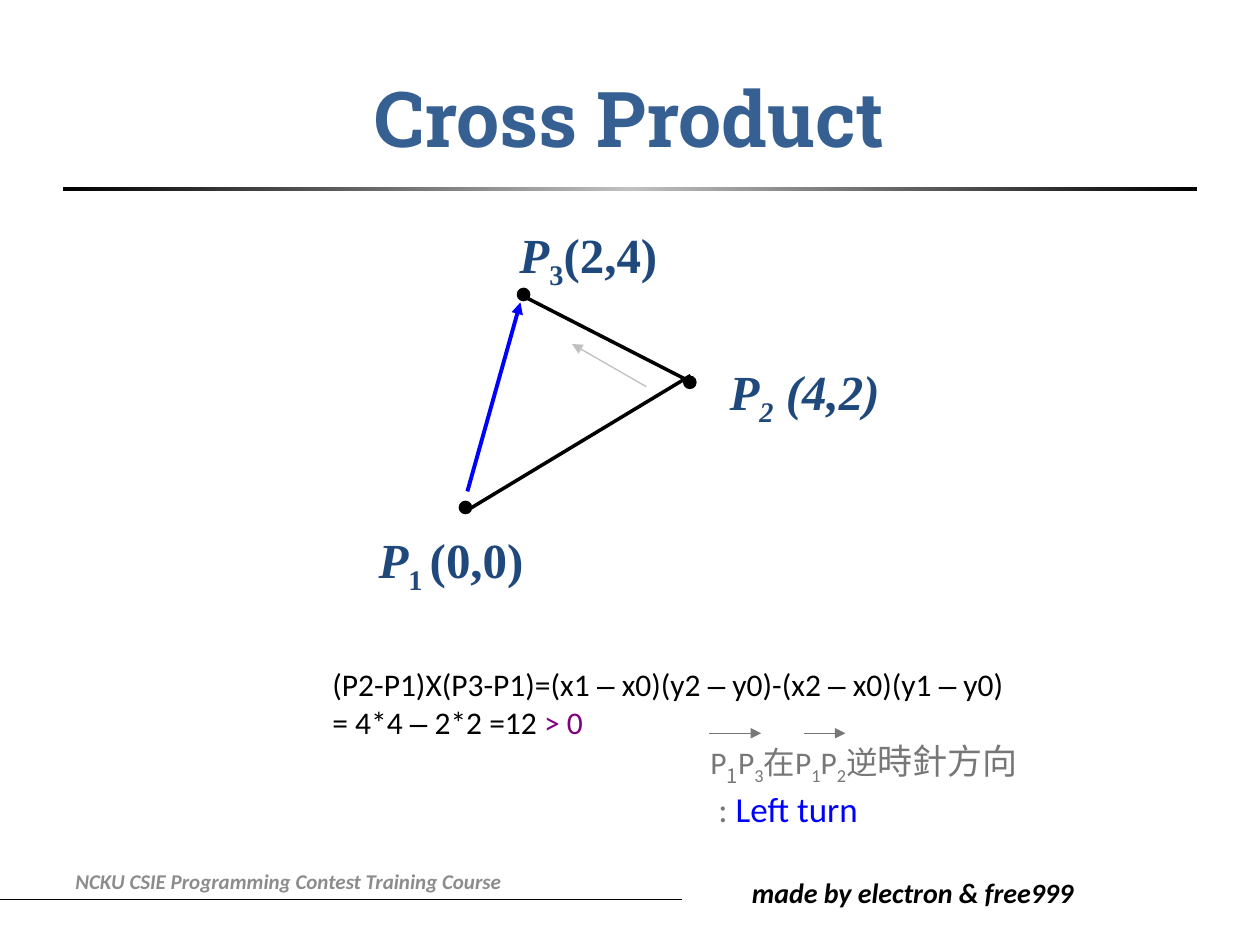
from copy import deepcopy

from pptx import Presentation
from pptx.dml.color import RGBColor
from pptx.enum.shapes import MSO_CONNECTOR, MSO_SHAPE
from pptx.enum.text import MSO_ANCHOR, PP_ALIGN
from pptx.oxml.ns import qn
from pptx.util import Pt
from lxml.etree import SubElement

BLACK = RGBColor(0x00, 0x00, 0x00)
SILVER = RGBColor(0xC0, 0xC0, 0xC0)
GRAY = RGBColor(0x77, 0x77, 0x77)
PALE = RGBColor(0x8C, 0x8C, 0x8C)
STEEL = RGBColor(0x37, 0x60, 0x92)
NAVY = RGBColor(0x1F, 0x49, 0x7D)
BLUE = RGBColor(0x00, 0x00, 0xFF)
PURPLE = RGBColor(0x80, 0x00, 0x80)

BODY = "Calibri"
HEAD = "Roboto Slab"
SERIF = "Times New Roman"
DASH = "Arial"
CJK = "Noto Sans CJK JP"


class Board:
    def __init__(self, slide):
        self.slide = slide

    def shape(self, kind, left, top, width, height):
        item = self.slide.shapes.add_shape(
            kind, Pt(left), Pt(top), Pt(width), Pt(height))
        item.shadow.inherit = False
        return item

    def dot(self, x, y, size=6.8):
        """Draw a black point centred on x, y."""
        item = self.shape(MSO_SHAPE.OVAL, x - size / 2, y - size / 2, size, size)
        item.fill.solid()
        item.fill.fore_color.rgb = BLACK
        item.line.color.rgb = BLACK
        item.line.width = Pt(1)

    def rule(self, left, top, width, height):
        """Draw a bar that fades from black to silver and back."""
        bar = self.shape(MSO_SHAPE.RECTANGLE, left, top, width, height)
        bar.line.fill.background()
        bar.fill.gradient()
        bar.fill.gradient_angle = 0
        first, mid = bar.fill.gradient_stops
        first.color.rgb, first.position = BLACK, 0
        mid.color.rgb, mid.position = SILVER, 0.5
        stops = bar._element.spPr.find(qn("a:gradFill")).find(qn("a:gsLst"))
        last = deepcopy(stops[0])
        last.set("pos", "100000")
        stops.append(last)

    def line(self, start, end, color=BLACK, width=2, arrow=False):
        item = self.slide.shapes.add_connector(
            MSO_CONNECTOR.STRAIGHT, *map(Pt, start + end))
        item.line.color.rgb = color
        item.line.width = Pt(width)
        if arrow:
            SubElement(item.line._get_or_add_ln(), qn("a:tailEnd"), type="triangle")
        SubElement(item._element.spPr, qn("a:effectLst"))

    def text(self, box, lines, size, color, font=BODY, bold=False, italic=None,
             align=PP_ALIGN.LEFT, anchor=MSO_ANCHOR.TOP, wrap=True):
        """Each line is a list of runs: (text, changes to the line's font)."""
        frame = self.slide.shapes.add_textbox(*map(Pt, box)).text_frame
        frame.word_wrap = wrap
        frame.vertical_anchor = anchor
        for i, runs in enumerate(lines):
            para = frame.add_paragraph() if i else frame.paragraphs[0]
            para.alignment = align
            style = para.font
            style.name, style.size, style.bold = font, Pt(size), bold
            style.italic = italic
            style.color.rgb = color
            for words, change in runs:
                self.run(para, words, **change)

    def run(self, para, words, font=None, size=None, color=None, italic=None,
            sub=False, east=False):
        run = para.add_run()
        run.text = words
        run.font.name = font
        run.font.italic = italic
        if size:
            run.font.size = Pt(size)
        if color is not None:
            run.font.color.rgb = color
        props = run._r.get_or_add_rPr()
        if sub:
            props.set("baseline", "-25000")
        if east:
            SubElement(props, qn("a:ea"), typeface=CJK)

    def label(self, box, runs):
        self.text(box, [runs], 28, NAVY, SERIF, bold=True,
                  align=PP_ALIGN.CENTER, wrap=False)


def dashed(words):
    """Split words into runs, with each dash in its own font."""
    runs = []
    for i, part in enumerate(words.split("–")):
        if i:
            runs.append(("–", {"font": DASH}))
        runs.append((part, {}))
    return runs


def main():
    deck = Presentation()
    deck.slide_width, deck.slide_height = Pt(720), Pt(540)
    board = Board(deck.slides.add_slide(deck.slide_layouts[6]))

    board.line((0, 514), (390, 514), width=0.5)
    board.text((422.6, 496.8, 204, 26.6), [[("made by electron & free999", {})]],
               16, BLACK, bold=True, italic=True)
    board.rule(36, 106.8, 648, 2.2)
    board.text((36, 21.6, 648, 90), [[("Cross Product", {})]], 44, STEEL, HEAD,
               bold=True, align=PP_ALIGN.CENTER, anchor=MSO_ANCHOR.MIDDLE)
    board.text((36, 489, 324, 28.8),
               [[("NCKU CSIE Programming Contest Training Course", {})]],
               12, PALE, bold=True, italic=True, anchor=MSO_ANCHOR.MIDDLE)

    for x, y in ((299.2, 168.3), (266, 290), (394.2, 218.5)):
        board.dot(x, y)
    board.line((301.7, 170.6), (391.7, 216.7))
    board.line((269.3, 290.2), (394.6, 214.6))
    board.line((267.1, 280.8), (297.4, 172.8), BLUE, 2.25, arrow=True)
    board.line((369.4, 221), (326.9, 196.6), SILVER, 0.75, arrow=True)

    slant, low = {"italic": True}, {"sub": True}
    board.label((288.7, 124.6, 95, 41),
                [("P", slant), ("3", low), ("(2,4)", {})])
    board.label((208, 298.8, 99.4, 41),
                [("P", slant), ("1 ", low), ("(0,0)", {})])
    board.label((409, 203, 101.5, 41),
                [("P", slant), ("2", slant | low), (" (4,2)", slant)])

    board.text((182.9, 376.6, 454.3, 50.4), [
        dashed("(P2-P1)X(P3-P1)=(x1 – x0)(y2 – y0)-(x2 – x0)(y1 – y0)"),
        dashed("= 4*4 – 2*2 =12 ") + [("> 0", {"color": PURPLE})],
    ], 18, BLACK)

    east, large = {"east": True}, {"size": 20}
    board.text((398.9, 419, 195.8, 55.4), [
        [("P", {}), ("1", low | large | {"font": CJK}), ("P", {}), ("3", low),
         ("在P", east), ("1", low), ("P", {}), ("2", low),
         ("逆", east), ("時針方向", east | large)],
        [(" : ", large), ("Left turn", large | {"color": BLUE})],
    ], 18, GRAY)
    for left, right in ((405.4, 434.9), (459.4, 483.1)):
        board.line((left, 419), (right, 419), GRAY, 0.75, arrow=True)

    deck.save("out.pptx")


if __name__ == "__main__":
    main()
